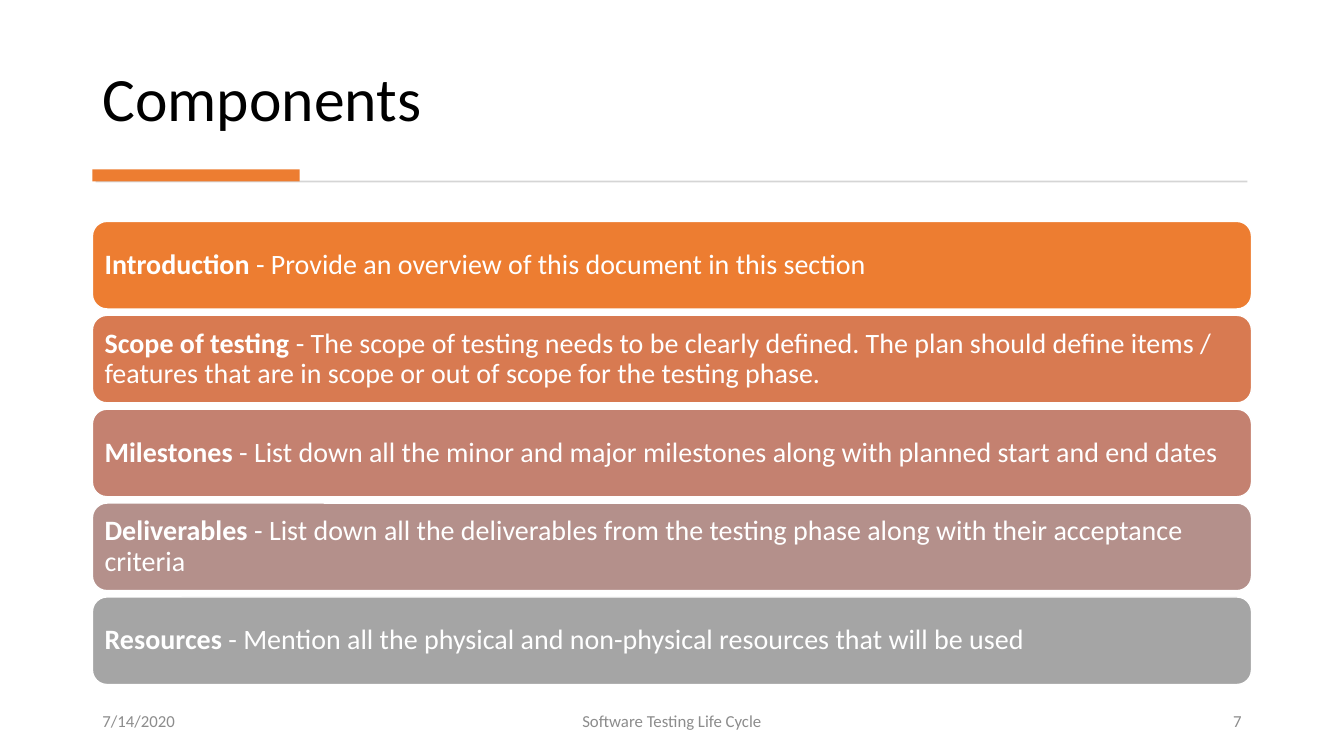
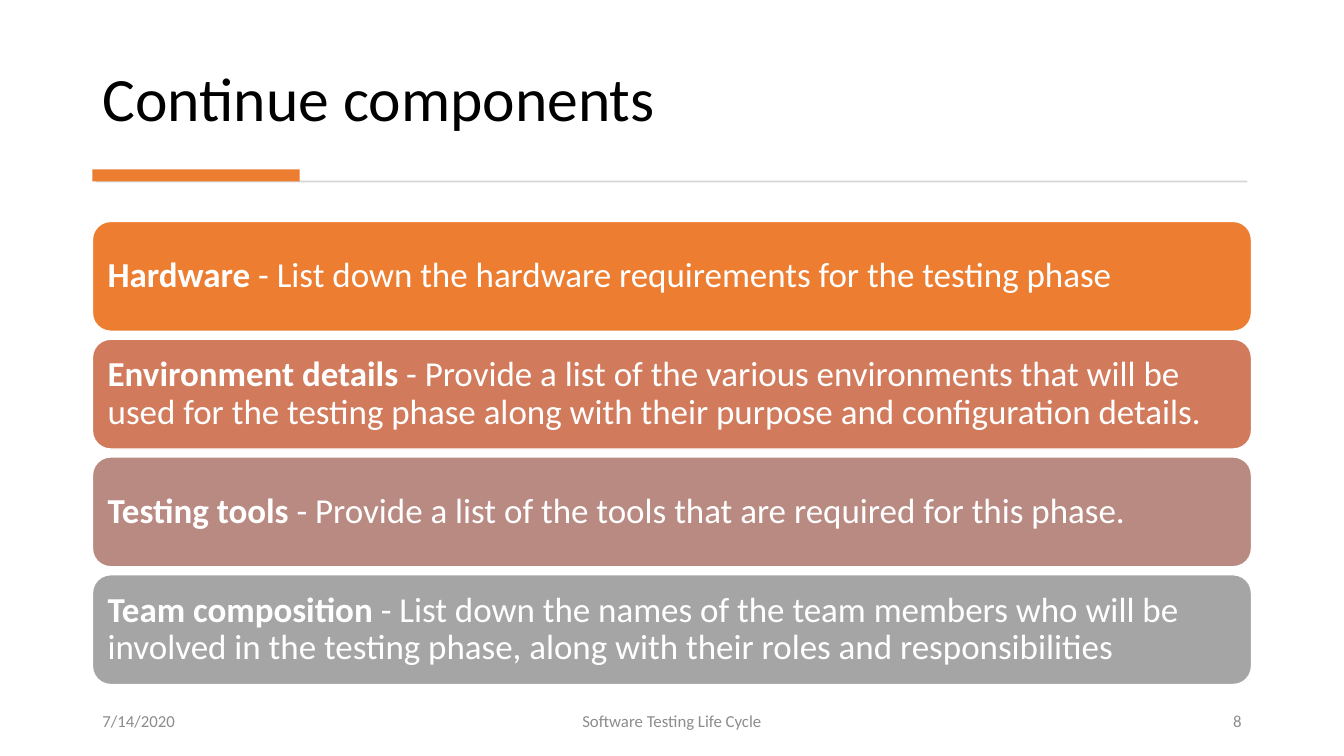
from collections import namedtuple

from pptx import Presentation
from pptx.dml.color import RGBColor
from pptx.enum.shapes import MSO_SHAPE as Shape
from pptx.enum.text import MSO_ANCHOR as Anchor, MSO_AUTO_SIZE as AutoSize, PP_ALIGN as Align
from pptx.util import Cm, Pt

Box = namedtuple("Box", "left top width height")

# Shared style
FONT = "Calibri"
BLACK = RGBColor(0x00, 0x00, 0x00)
WHITE = RGBColor(0xFF, 0xFF, 0xFF)
ORANGE = RGBColor(0xED, 0x7D, 0x31)
RULE_GRAY = RGBColor(0xD5, 0xD5, 0xD5)
FOOTER_GRAY = RGBColor(0x8C, 0x8C, 0x8C)
BAR_GRAY = RGBColor(0xA5, 0xA5, 0xA5)
FIVE_COLORS = (ORANGE, RGBColor(0xD8, 0x7A, 0x51), RGBColor(0xC4, 0x81, 0x70),
               RGBColor(0xB4, 0x90, 0x8B), BAR_GRAY)
FOUR_COLORS = (ORANGE, RGBColor(0xD1, 0x7B, 0x5C), RGBColor(0xB9, 0x8A, 0x82), BAR_GRAY)

# Shared regions, in centimetres
TITLE_BOX = Box(2.33, 0.71, 29.2, 2.82)
DIVIDER_BOX = Box(2.33, 4.27, 29.2, 0.3)
BARS_BOX = Box(2.33, 5.58, 29.21, 11.67)
FOOTER_BOX = Box(2.33, 17.65, 29.21, 1.02)

DATE = "7/14/2020"
FOOTER = "Software Testing Life Cycle"


def lengths(box):
    return [Cm(value) for value in box]


def style_run(span, size, color, bold=False):
    span.font.name = FONT
    span.font.size = Pt(size)
    span.font.color.rgb = color
    span.font.bold = bold


def add_block(page, kind, box, color):
    block = page.shapes.add_shape(kind, *lengths(box))
    block.shadow.inherit = False
    block.fill.solid()
    block.fill.fore_color.rgb = color
    block.line.fill.background()
    return block


def set_title(page, box, text):
    title = page.shapes.title
    title.left, title.top, title.width, title.height = lengths(box)
    frame = title.text_frame
    frame.text = text
    frame.auto_size = AutoSize.NONE
    frame.vertical_anchor = Anchor.BOTTOM
    para = frame.paragraphs[0]
    para.alignment = Align.LEFT
    para.line_spacing = 0.9
    style_run(para.runs[0], 44, BLACK)


def add_divider(page, box):
    # Thin rule with a thicker accent at its left end
    rule = Box(box.left + 0.08, box.top + box.height - 0.02, box.width - 0.17, 0.05)
    add_block(page, Shape.RECTANGLE, rule, RULE_GRAY)
    add_block(page, Shape.RECTANGLE, box._replace(width=5.22), ORANGE)


def add_bars(page, box, items, colors, size):
    # Equal bars fill the box; gap and inset grow with the text size
    gap, inset = size * 0.008, Cm(size * 0.01)
    height = (box.height - gap * (len(items) - 1)) / len(items)
    for index, ((term, detail), color) in enumerate(zip(items, colors)):
        place = box._replace(top=box.top + index * (height + gap), height=height)
        bar = add_block(page, Shape.ROUNDED_RECTANGLE, place, color)
        bar.line.color.rgb = WHITE
        bar.line.width = Pt(1)
        frame = bar.text_frame
        frame.word_wrap = True
        frame.vertical_anchor = Anchor.MIDDLE
        frame.margin_left = frame.margin_right = inset
        frame.margin_top = frame.margin_bottom = inset
        para = frame.paragraphs[0]
        para.alignment = Align.LEFT
        para.line_spacing = 0.9
        for text, bold in ((term, True), (f"\u00a0- {detail}", False)):
            span = para.add_run()
            span.text = text
            style_run(span, size, WHITE, bold)


def add_footer(page, box, number):
    side, middle = 7.62, 11.43
    parts = (
        (DATE, box.left, side, Align.LEFT),
        (FOOTER, box.left + (box.width - middle) / 2, middle, Align.CENTER),
        (str(number), box.left + box.width - side, side, Align.RIGHT),
    )
    for text, left, width, alignment in parts:
        place = box._replace(left=left, width=width)
        frame = page.shapes.add_textbox(*lengths(place)).text_frame
        frame.word_wrap = True
        frame.vertical_anchor = Anchor.MIDDLE
        frame.text = text
        para = frame.paragraphs[0]
        para.alignment = alignment
        style_run(para.runs[0], 12, FOOTER_GRAY)


def add_bar_slide(deck, number, title, items, colors, size):
    page = deck.slides.add_slide(deck.slide_layouts.get_by_name("Title Only"))
    set_title(page, TITLE_BOX, title)
    add_divider(page, DIVIDER_BOX)
    add_bars(page, BARS_BOX, items, colors, size)
    add_footer(page, FOOTER_BOX, number)


deck = Presentation()
deck.slide_width, deck.slide_height = Cm(33.87), Cm(19.05)

add_bar_slide(deck, 7, "Components", (
    ("Introduction", "Provide an overview of this document in this section"),
    ("Scope of testing", "The scope of testing needs to be clearly defined. The plan should "
     "define items / features that are in scope or out of scope for the testing phase."),
    ("Milestones", "List down all the minor and major milestones along with planned start "
     "and end dates"),
    ("Deliverables", "List down all the deliverables from the testing phase along with "
     "their acceptance criteria"),
    ("Resources", "Mention all the physical and non-physical resources that will be used"),
), FIVE_COLORS, 20)

add_bar_slide(deck, 8, "Continue components", (
    ("Hardware", "List down the hardware requirements for the testing phase"),
    ("Environment details", "Provide a list of the various environments that will be used "
     "for the testing phase along with their purpose and configuration details."),
    ("Testing tools", "Provide a list of the tools that are required for this phase."),
    ("Team composition", "List down the names of the team members who will be involved in "
     "the testing phase, along with their roles and responsibilities"),
), FOUR_COLORS, 25)

deck.save("out.pptx")
